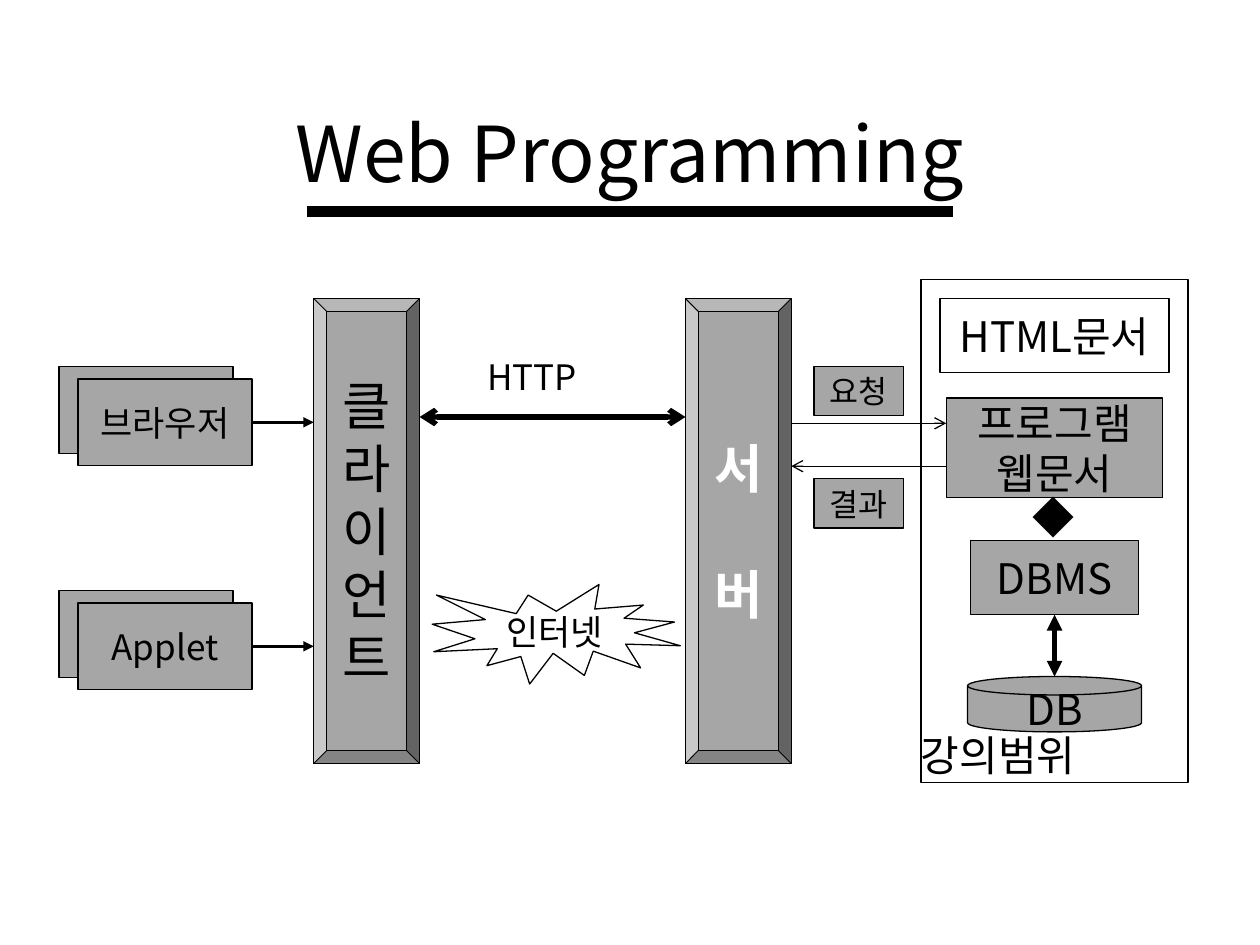
from dataclasses import dataclass

from lxml import etree
from pptx import Presentation
from pptx.dml.color import RGBColor
from pptx.enum.shapes import MSO_CONNECTOR, MSO_SHAPE
from pptx.enum.text import MSO_ANCHOR, PP_ALIGN
from pptx.oxml.ns import qn
from pptx.util import Pt

RECT, BEVEL = MSO_SHAPE.RECTANGLE, MSO_SHAPE.BEVEL
BURST, DISK = MSO_SHAPE.EXPLOSION1, MSO_SHAPE.FLOWCHART_MAGNETIC_DISK
STRAIGHT = MSO_CONNECTOR.STRAIGHT
TOP, MIDDLE = MSO_ANCHOR.TOP, MSO_ANCHOR.MIDDLE
LEFT, CENTER = PP_ALIGN.LEFT, PP_ALIGN.CENTER


@dataclass(frozen=True)
class Theme:
    font: str = "Noto Sans CJK KR"
    ink: RGBColor = RGBColor(0, 0, 0)
    paper: RGBColor = RGBColor(255, 255, 255)
    gray: RGBColor = RGBColor(0xA6, 0xA6, 0xA6)
    title: int = 44
    tier: int = 30
    large: int = 24
    medium: int = 20
    small: int = 18


T = Theme()


def write(s, lines, size, color=T.ink, bold=False, align=CENTER, anchor=MIDDLE,
          wrap=True, gap=0):
    """Fill a shape with paragraphs, gap points apart."""
    tf = s.text_frame
    tf.word_wrap = wrap
    tf.vertical_anchor = anchor
    for i, line in enumerate(lines):
        p = tf.add_paragraph() if i else tf.paragraphs[0]
        p.text = line
        p.alignment = align
        if i and gap:
            p.space_before = Pt(gap)
        font = p.font
        font.size, font.bold, font.name = Pt(size), bold, T.font
        font.color.rgb = color
        latin = p._p.find(".//" + qn("a:latin"))
        east = etree.Element(qn("a:ea"), typeface=T.font)
        latin.addnext(east)


def add_block(slide, box, lines=(), size=T.medium, kind=RECT, fill=T.gray,
              line=0.75, **style):
    s = slide.shapes.add_shape(kind, *map(Pt, box))
    s.shadow.inherit = False
    if fill is None:
        s.fill.background()
    else:
        s.fill.solid()
        s.fill.fore_color.rgb = fill
    s.line.color.rgb = T.ink
    s.line.width = Pt(line)
    if lines:
        write(s, lines, size, **style)


def add_label(slide, box, text, size):
    s = slide.shapes.add_textbox(*map(Pt, box))
    write(s, [text], size, align=LEFT, anchor=TOP, wrap=False)


def add_line(slide, x1, y1, x2, y2, width, head=None, tail=None):
    c = slide.shapes.add_connector(STRAIGHT, *map(Pt, (x1, y1, x2, y2)))
    c.line.color.rgb = T.ink
    c.line.width = Pt(width)
    ln = c.line._get_or_add_ln()
    for tag, arrow in (("a:headEnd", head), ("a:tailEnd", tail)):
        if arrow:
            etree.SubElement(ln, qn(tag), type=arrow)
    etree.SubElement(c._element.spPr, qn("a:effectLst"))


def add_title(slide, box, text):
    x, y, w, h = box
    s = slide.shapes.add_textbox(*map(Pt, box))
    write(s, [text], T.title)
    add_line(slide, x + 121.5, y + 92.2, x + w - 121.5, y + 92.2, 6)


def add_source(slide, box, text):
    """Two overlapping cards with an arrow to the right edge of the box."""
    x, y, w, h = box
    dx, dy, card_w, card_h = 10.8, 7, 99.4, 49.7
    add_block(slide, (x, y, card_w, card_h))
    add_block(slide, (x + dx, y + dy, card_w, card_h), [text])
    mid = y + dy + card_h / 2
    add_line(slide, x + dx + card_w, mid, x + w, mid, 1.5, tail="triangle")


def add_network(slide, box):
    """Client and server pillars, joined by HTTP over the internet."""
    x, y, w, h = box
    pillar = 60.5
    right = x + w - pillar
    add_block(slide, (x, y, pillar, h), ["클라이언트"], T.tier, BEVEL, line=0.5)
    add_block(slide, (right, y, pillar, h), ["서", "버"], T.tier, BEVEL, line=0.5,
              color=T.paper, bold=True, gap=36)
    add_block(slide, (x + 67.7, y + 163.4, 141.8, 56.9), ["인터넷"], T.medium,
              BURST, T.paper)
    add_line(slide, x + pillar, y + 67.7, right, y + 67.7, 3, "arrow", "arrow")
    add_label(slide, (x + 92.1, y + 28.8, 65.5, 31.7), "HTTP", T.medium)


def add_exchange(slide, box):
    """Request arrow to the right, result arrow to the left."""
    x, y, w, h = box
    tag_w, tag_h = 51.1, 28.1
    for text, top in (("요청", y), ("결과", y + h - tag_h)):
        add_block(slide, (x + 12.9, top, tag_w, tag_h), [text], T.small)
    add_line(slide, x, y + 32.4, x + w, y + 32.4, 0.75, tail="arrow")
    add_line(slide, x + w, y + 56.9, x, y + 56.9, 0.75, tail="arrow")


def add_scope(slide, box):
    """Framed server-side parts, centred one below the other."""
    x, y, w, h = box
    mid = x + w / 2
    parts = (
        (["HTML문서"], 10.8, 131, 42.5, RECT, T.paper),
        (["프로그램", "웹문서"], 67.7, 123.8, 56.9, RECT, T.gray),
        (["DBMS"], 149, 95.8, 42.5, RECT, T.gray),
        (["DB"], 226.8, 99.4, 31.7, DISK, T.gray),
    )
    add_block(slide, box, fill=None)
    for lines, top, part_w, part_h, kind, fill in parts:
        add_block(slide, (mid - part_w / 2, y + top, part_w, part_h), lines,
                  T.large, kind, fill)
    add_label(slide, (x - 7.2, y + 253.5, 111.6, 36), "강의범위", T.large)
    add_label(slide, (mid - 19.4, y + 117.4, 38.9, 36), "◆", T.large)
    add_line(slide, mid, y + 191.5, mid, y + 226.8, 3, "triangle", "triangle")


def main():
    prs = Presentation()
    prs.slide_width, prs.slide_height = Pt(720), Pt(540)
    slide = prs.slides.add_slide(prs.slide_layouts[6])
    add_title(slide, (54, 28.8, 612, 115.9), "Web Programming")
    for text, top in (("브라우저", 209.5), ("Applet", 337.5)):
        add_source(slide, (33.8, top, 145.5, 56.7), text)
    add_network(slide, (179.3, 170.6, 272.9, 265.7))
    add_scope(slide, (526.3, 159.8, 152.6, 287.3))
    add_exchange(slide, (452.2, 209.5, 88.5, 92.2))
    prs.save("out.pptx")


if __name__ == "__main__":
    main()
